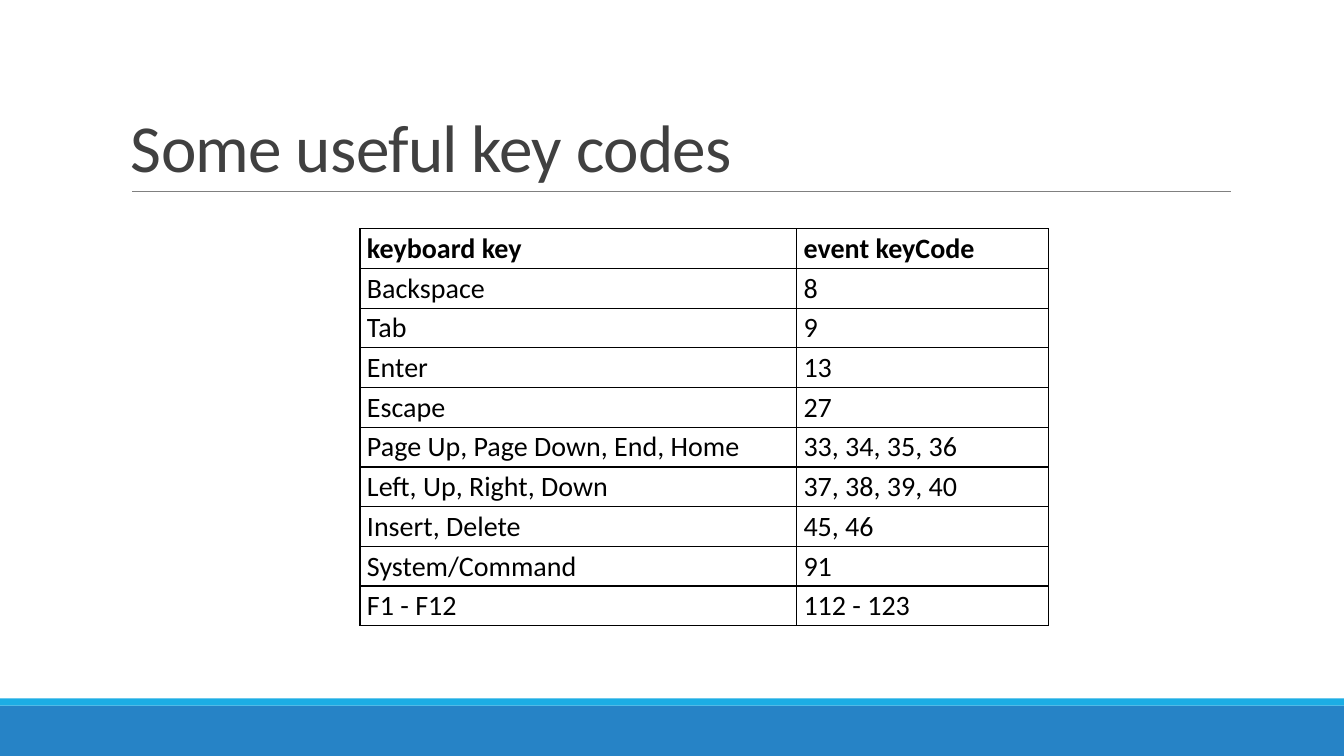
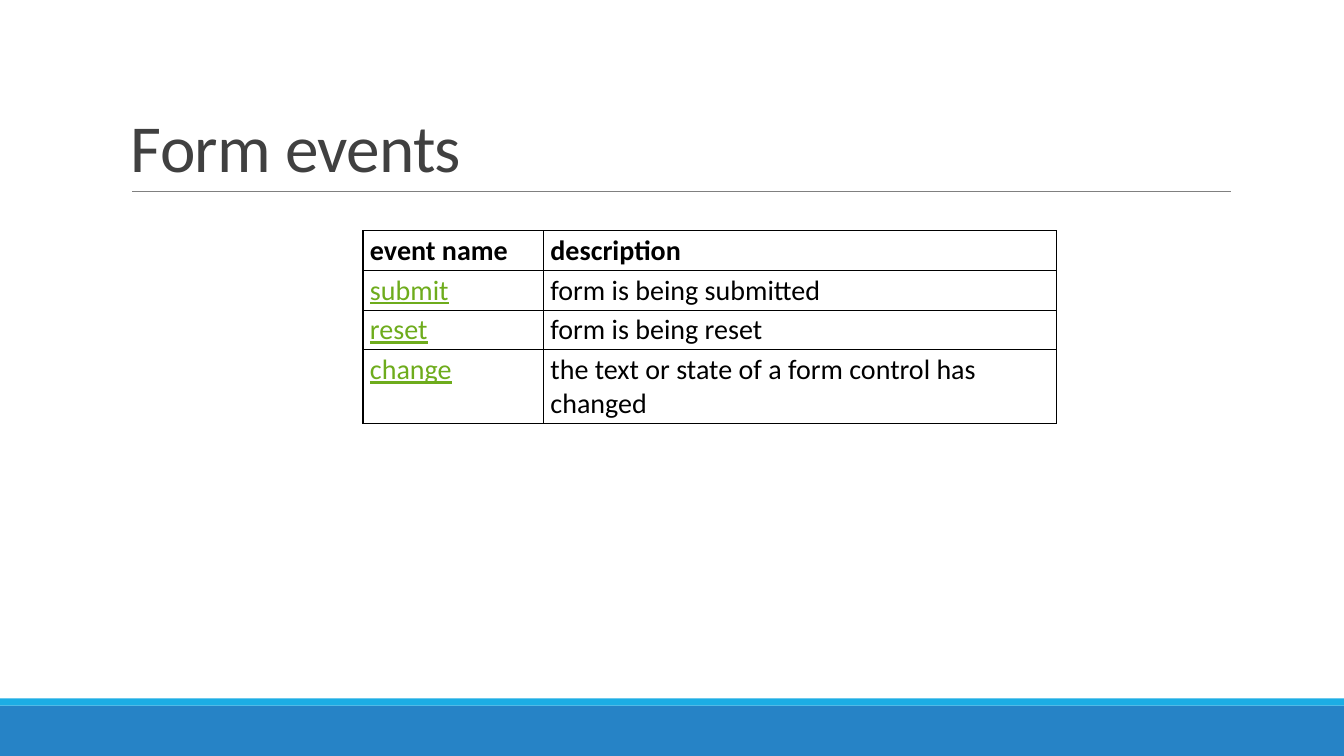
from lxml import etree
from pptx import Presentation
from pptx.dml.color import RGBColor
from pptx.enum.shapes import MSO_CONNECTOR, MSO_SHAPE
from pptx.enum.text import MSO_ANCHOR
from pptx.oxml.ns import qn
from pptx.util import Inches, Pt

RECTANGLE = MSO_SHAPE.RECTANGLE
STRAIGHT = MSO_CONNECTOR.STRAIGHT
BOTTOM = MSO_ANCHOR.BOTTOM

FONT = "Calibri"
BLACK = "000000"
TITLE_GREY = "404040"
RULE_GREY = "808080"
LINK_GREEN = "6EAC1C"
BAND_BLUE = "2683C6"
STRIPE_BLUE = "1CADE4"

SLIDE_WIDTH, SLIDE_HEIGHT = 13.33, 7.5
BAND_HEIGHT, STRIPE_HEIGHT = 0.5, 0.07
TITLE_BOX = (1.2, 0.31, 11, 1.59)
RULE_INSET, RULE_WIDTH = 0.11, 10.9
ROW_HEIGHT = 0.39

KEY_CODES = [
    ("keyboard key", "event keyCode"),
    ("Backspace", "8"),
    ("Tab", "9"),
    ("Enter", "13"),
    ("Escape", "27"),
    ("Page Up, Page Down, End, Home", "33, 34, 35, 36"),
    ("Left, Up, Right, Down", "37, 38, 39, 40"),
    ("Insert, Delete", "45, 46"),
    ("System/Command", "91"),
    ("F1 - F12", "112 - 123"),
]

FORM_EVENTS = [
    ("event name", "description"),
    ("submit", "form is being submitted"),
    ("reset", "form is being reset"),
    ("change", "the text or state of a form control has changed"),
]


def color(value):
    return RGBColor.from_string(value)


def write(text_frame, text, size=20, fill=BLACK, bold=False, underline=False,
          line_spacing=None, tracking=None):
    text_frame.word_wrap = True
    paragraph = text_frame.paragraphs[0]
    if line_spacing:
        paragraph.line_spacing = line_spacing
    run = paragraph.add_run()
    run.text = text
    font = run.font
    font.name, font.size = FONT, Pt(size)
    font.bold, font.underline = bold, underline
    font.color.rgb = color(fill)
    if tracking:
        font._element.set("spc", str(round(tracking * 100)))


def add_band(slide, top, height, fill):
    band = slide.shapes.add_shape(RECTANGLE, 0, Inches(top), Inches(SLIDE_WIDTH), Inches(height))
    band.shadow.inherit = False
    band.fill.solid()
    band.fill.fore_color.rgb = color(fill)
    band.line.fill.background()


def add_footer(slide):
    band_top = SLIDE_HEIGHT - BAND_HEIGHT
    add_band(slide, band_top, BAND_HEIGHT, BAND_BLUE)
    add_band(slide, band_top - STRIPE_HEIGHT, STRIPE_HEIGHT, STRIPE_BLUE)


def add_title(slide, text, box):
    left, top, width, height = box
    rule_left, rule_top = left + RULE_INSET, top + height
    rule = slide.shapes.add_connector(STRAIGHT, Inches(rule_left), Inches(rule_top),
                                      Inches(rule_left + RULE_WIDTH), Inches(rule_top))
    rule.line.color.rgb = color(RULE_GREY)
    rule.line.width = Pt(0.5)
    etree.SubElement(rule._element.spPr, qn("a:effectLst"))

    title = slide.shapes.add_textbox(*map(Inches, box))
    title.text_frame.vertical_anchor = BOTTOM
    write(title.text_frame, text, size=48, fill=TITLE_GREY, line_spacing=0.85, tracking=-0.5)


def add_borders(cell, fill=BLACK, width=1):
    properties = cell._tc.get_or_add_tcPr()
    for side in ("L", "R", "T", "B"):
        line = etree.SubElement(properties, qn(f"a:ln{side}"), w=str(Pt(width)))
        solid = etree.SubElement(line, qn("a:solidFill"))
        etree.SubElement(solid, qn("a:srgbClr"), val=fill)


def add_grid(slide, left, top, column_widths, rows, linked=False):
    frame = slide.shapes.add_table(len(rows), len(column_widths), Inches(left), Inches(top),
                                   Inches(sum(column_widths)), Inches(ROW_HEIGHT * len(rows)))
    table = frame.table
    table.horz_banding = False
    for column, width in zip(table.columns, column_widths):
        column.width = Inches(width)
    for row_index, row in enumerate(rows):
        for column_index, text in enumerate(row):
            cell = table.cell(row_index, column_index)
            cell.margin_left = cell.margin_right = Inches(0.07)
            cell.margin_top = cell.margin_bottom = Inches(0.03)
            add_borders(cell)
            cell.fill.background()
            header = row_index == 0
            link = linked and not header and column_index == 0
            write(cell.text_frame, text, fill=LINK_GREEN if link else BLACK,
                  bold=header, underline=link)


def add_table_slide(presentation, title, left, top, column_widths, rows, linked=False):
    slide = presentation.slides.add_slide(presentation.slide_layouts[6])
    add_footer(slide)
    add_title(slide, title, TITLE_BOX)
    add_grid(slide, left, top, column_widths, rows, linked)


def main():
    presentation = Presentation()
    presentation.slide_width = Inches(SLIDE_WIDTH)
    presentation.slide_height = Inches(SLIDE_HEIGHT)
    add_table_slide(presentation, "Some useful key codes", 3.57, 2.27, (4.33, 2.5), KEY_CODES)
    add_table_slide(presentation, "Form events", 3.6, 2.29, (1.79, 5.09), FORM_EVENTS, linked=True)
    presentation.save("out.pptx")


if __name__ == "__main__":
    main()
